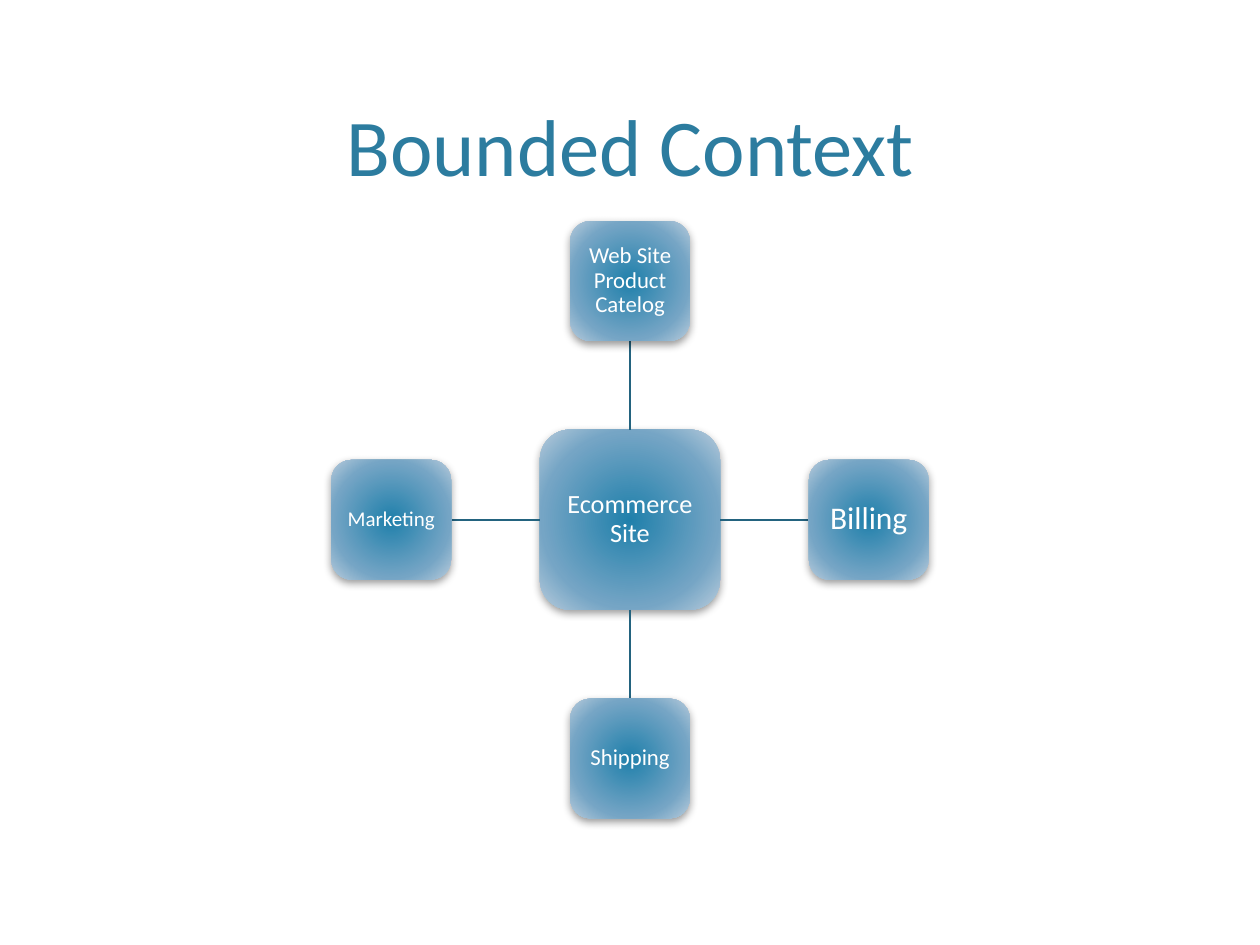
from lxml.etree import fromstring
from pptx import Presentation
from pptx.enum.shapes import MSO_CONNECTOR as Connector, MSO_SHAPE as Shape
from pptx.enum.text import MSO_ANCHOR as Anchor, PP_ALIGN as Align
from pptx.dml.color import RGBColor
from pptx.oxml.ns import nsdecls
from pptx.util import Inches, Pt

COLORS = {"title": "2C7C9F", "line": "23637F", "text": "FFFFFF", "shadow": "000000",
          "core": "2080AB", "middle": "75A5C5", "edge": "B8CCDC"}
STOPS = {"core": 0, "middle": 69, "edge": 100}
COLUMNS, ROWS, CELL = 100, 75, 0.1  # grid cells, each 0.1 inch

CENTER = (50, 41.25)
HUB_SIZE, SPOKE_SIZE, ORBIT = 14.3, 9.5, 18.95
HUB = ("Ecommerce Site", 15, 0.04)
SPOKES = [  # direction across, direction down, (label, size, inset)
    (0, -1, ("Web Site Product Catelog", 13, 0.04)),
    (1, 0, ("Billing", 18, 0.05)),
    (0, 1, ("Shipping", 13, 0.04)),
    (-1, 0, ("Marketing", 12, 0.03)),
]


def grid(*cells):
    """Turn grid cells into lengths."""
    return [Inches(cell * CELL) for cell in cells]


def apply(target, values):
    """Set attributes from a dict of format values."""
    for name, value in values.items():
        setattr(target, name, value)


class Diagram:
    """Holds the style and the current slide."""

    font = "Calibri"

    def __init__(self, slide):
        """Keep the slide to draw on."""
        self.slide = slide

    def label(self, shape, text, size, color, frame_format, spacing=1.0):
        """Put one centred paragraph into a shape."""
        frame = shape.text_frame
        apply(frame, {"word_wrap": True, **frame_format})
        paragraph = frame.paragraphs[0]
        apply(paragraph, {"alignment": Align.CENTER, "line_spacing": spacing})
        run = paragraph.add_run()
        run.text = text
        apply(run.font, {"name": self.font, "size": Pt(size)})
        run.font.color.rgb = RGBColor.from_string(COLORS[color])

    def title(self, text, box, size):
        """Add the slide title."""
        shape = self.slide.shapes.add_textbox(*grid(*box))
        self.label(shape, text, size, "title", {"vertical_anchor": Anchor.BOTTOM})

    def node(self, center, side, caption):
        """Add a rounded square with a radial gradient and a soft shadow."""
        text, size, inset = caption
        x, y = center
        shape = self.slide.shapes.add_shape(
            Shape.ROUNDED_RECTANGLE, *grid(x - side / 2, y - side / 2, side, side))
        shape.line.fill.background()
        outline = shape.line._get_or_add_ln()
        stops = "".join(
            f'<a:gs pos="{share * 1000}"><a:srgbClr val="{COLORS[name]}"/></a:gs>'
            for name, share in STOPS.items())
        outline.addprevious(fromstring(
            f'<a:gradFill {nsdecls("a")} rotWithShape="1"><a:gsLst>{stops}</a:gsLst>'
            '<a:path path="circle"><a:fillToRect l="100000" t="100000" r="100000" '
            'b="100000"/></a:path></a:gradFill>'))
        outline.addnext(fromstring(
            f'<a:effectLst {nsdecls("a")}><a:outerShdw blurRad="{Pt(5)}" dist="{Pt(2)}" '
            f'dir="5400000" rotWithShape="0"><a:srgbClr val="{COLORS["shadow"]}">'
            '<a:alpha val="40000"/></a:srgbClr></a:outerShdw></a:effectLst>'))
        margins = {f"margin_{edge}": Inches(inset)
                   for edge in ("left", "top", "right", "bottom")}
        self.label(shape, text, size, "text",
                   {"vertical_anchor": Anchor.MIDDLE, **margins}, 0.9)

    def link(self, start, end):
        """Add a straight line between two grid points."""
        connector = self.slide.shapes.add_connector(
            Connector.STRAIGHT, *grid(*start, *end))
        connector.line.width = Pt(1)
        connector.line.color.rgb = RGBColor.from_string(COLORS["line"])
        connector._element.spPr.append(fromstring(f'<a:effectLst {nsdecls("a")}/>'))


def along(across, down, distance):
    """Give the point at a distance from the centre."""
    return CENTER[0] + across * distance, CENTER[1] + down * distance


def main():
    """Build the slide and save it."""
    presentation = Presentation()
    presentation.slide_width, presentation.slide_height = grid(COLUMNS, ROWS)
    diagram = Diagram(presentation.slides.add_slide(presentation.slide_layouts[6]))
    diagram.title("Bounded Context", (6, 1.2, 88, 14.6), 46)
    diagram.node(CENTER, HUB_SIZE, HUB)
    for across, down, caption in SPOKES:
        diagram.link(along(across, down, HUB_SIZE / 2),
                     along(across, down, ORBIT - SPOKE_SIZE / 2))
        diagram.node(along(across, down, ORBIT), SPOKE_SIZE, caption)
    presentation.save("out.pptx")


main()
